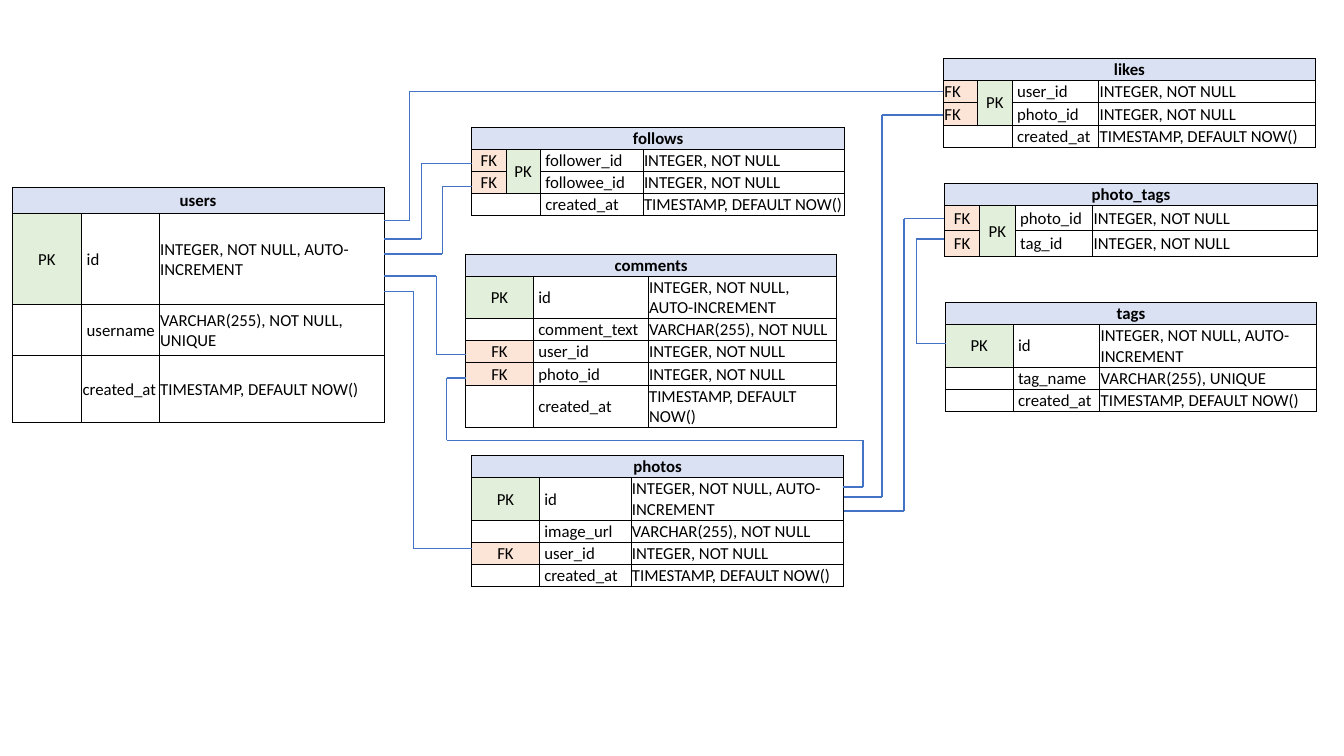
from dataclasses import dataclass
from itertools import pairwise

from lxml.etree import SubElement
from pptx import Presentation
from pptx.dml.color import RGBColor
from pptx.enum.shapes import MSO_CONNECTOR
from pptx.enum.text import MSO_ANCHOR, PP_ALIGN
from pptx.oxml.ns import qn
from pptx.util import Inches, Pt

# Every length is a number of grid steps, ten steps to the inch.
STEP = Inches(0.1)
SLIDE_COLUMNS, SLIDE_ROWS = 133.33, 75
ROW, TALL_ROW = 2.2, 4.2
EDGE, NAME_INDENT = 0.1, 0.5
FONT, TEXT_SIZE = "Calibri", 12
BLACK, HEADER, WIRE = "000000", "D9E1F2", "4472C4"
KEY_FILLS = {"PK": "E2EFDA", "FK": "FCE4D6"}

INTEGER = "INTEGER, NOT NULL"
SERIAL = "INTEGER, NOT NULL, AUTO-INCREMENT"
TIMESTAMP = "TIMESTAMP, DEFAULT NOW()"


@dataclass(frozen=True)
class Field:
    """One column of a database table, shown as one row."""
    name: str
    kind: str
    key: str = ""
    height: float = ROW
    indent: float = NAME_INDENT


@dataclass(frozen=True)
class Entity:
    """A database table; four widths mean a composite primary key."""
    name: str
    left: float
    top: float
    widths: tuple[float, ...]
    fields: tuple[Field, ...]
    header_height: float = ROW
    foreign_align: PP_ALIGN = PP_ALIGN.CENTER


ENTITIES = (
    Entity("users", 1.2, 18.6, (6.9, 7.7, 22.3), (
        Field("id", SERIAL, "PK", 9),
        Field("username", "VARCHAR(255), NOT NULL, UNIQUE", height=5.1),
        Field("created_at", TIMESTAMP, height=6.6, indent=EDGE),
    ), header_height=2.6),
    Entity("photos", 46.8, 45.2, (6.7, 9.1, 21.1), (
        Field("id", "INTEGER, NOT NULL, AUTO- INCREMENT", "PK", TALL_ROW),
        Field("image_url", "VARCHAR(255), NOT NULL"),
        Field("user_id", INTEGER, "FK"),
        Field("created_at", TIMESTAMP),
    )),
    Entity("comments", 46.2, 25.2, (6.7, 11.4, 18.7), (
        Field("id", SERIAL, "PK", TALL_ROW),
        Field("comment_text", "VARCHAR(255), NOT NULL"),
        Field("user_id", INTEGER, "FK"),
        Field("photo_id", INTEGER, "FK"),
        Field("created_at", TIMESTAMP, height=TALL_ROW),
    )),
    Entity("likes", 93.6, 5.8, (3.4, 3.4, 8.6, 21.5), (
        Field("user_id", INTEGER, "FK"),
        Field("photo_id", INTEGER, "FK"),
        Field("created_at", TIMESTAMP),
    ), foreign_align=PP_ALIGN.LEFT),
    Entity("follows", 46.8, 12.6, (3.4, 3.4, 10.2, 20), (
        Field("follower_id", INTEGER, "FK"),
        Field("followee_id", INTEGER, "FK"),
        Field("created_at", TIMESTAMP),
    )),
    Entity("tags", 93.8, 30, (6.7, 8.6, 21.5), (
        Field("id", SERIAL, "PK", TALL_ROW),
        Field("tag_name", "VARCHAR(255), UNIQUE"),
        Field("created_at", TIMESTAMP),
    )),
    Entity("photo_tags", 93.7, 18.2, (3.5, 3.5, 7.7, 22.3), (
        Field("photo_id", INTEGER, "FK", 2.5),
        Field("tag_id", INTEGER, "FK", 2.5),
    )),
)

# Corner points of each relation, from the primary key to the foreign key.
RELATIONS = (
    ((38.1, 28.9), (41, 28.9), (41, 54.4), (46.8, 54.4)),      # users - photos
    ((38.1, 23.7), (41.8, 23.7), (41.8, 16.2), (46.8, 16.2)),  # users - follower
    ((38.1, 25.2), (43.9, 25.2), (43.9, 18.5), (46.8, 18.5)),  # users - followee
    ((38.1, 27.4), (43.3, 27.4), (43.3, 35.2), (46.2, 35.2)),  # users - comments
    ((38.1, 21.9), (40.6, 21.9), (40.6, 9.1), (93.6, 9.1)),    # users - likes
    ((83.7, 49.3), (87.5, 49.3), (87.5, 11.4), (93.6, 11.4)),  # photos - likes
    ((83.7, 50.7), (89.7, 50.7), (89.7, 21.7), (93.7, 21.7)),  # photos - photo_tags
    ((83.6, 48.3), (85.6, 48.3), (85.6, 43.7), (44.3, 43.7),
     (44.3, 37.5), (46.2, 37.5)),                              # photos - comments
    ((93.8, 34.1), (90.9, 34.1), (90.9, 23.7), (93.7, 23.7)),  # tags - photo_tags
)


def steps(count: float) -> int:
    """Turn grid steps into a slide length."""
    return round(count * STEP)


def color(value: str) -> RGBColor:
    """Turn a hex string into a colour."""
    return RGBColor.from_string(value)


def prepare_cell(cell) -> None:
    """Give a cell thin black borders, tight margins and no fill."""
    properties = cell._tc.get_or_add_tcPr()
    for side in ("lnL", "lnR", "lnT", "lnB"):
        border = SubElement(properties, qn(f"a:{side}"), w=str(Pt(0.5)))
        SubElement(SubElement(border, qn("a:solidFill")), qn("a:srgbClr"), val=BLACK)
    cell.fill.background()
    cell.margin_left = cell.margin_right = cell.margin_top = steps(EDGE)
    cell.margin_bottom = 0
    cell.vertical_anchor = MSO_ANCHOR.MIDDLE
    # Empty cells need the text size too, or they stretch their row.
    SubElement(cell.text_frame.paragraphs[0]._p, qn("a:endParaRPr"),
               sz=str(TEXT_SIZE * 100))


def write(cell, text: str, align: PP_ALIGN = PP_ALIGN.LEFT, fill: str = "",
          bold: bool = False, indent: float = EDGE) -> None:
    """Put formatted text into a cell."""
    paragraph = cell.text_frame.paragraphs[0]
    paragraph.text = text
    paragraph.alignment = align
    cell.margin_left = steps(indent)
    for run in paragraph.runs:
        run.font.name, run.font.size = FONT, Pt(TEXT_SIZE)
        run.font.bold = bold
        run.font.color.rgb = color(BLACK)
    if fill:
        cell.fill.solid()
        cell.fill.fore_color.rgb = color(fill)


def draw_entity(slide, entity: Entity) -> None:
    """Draw a database table with its header, keys and fields."""
    heights = (entity.header_height, *(field.height for field in entity.fields))
    grid = slide.shapes.add_table(
        len(heights), len(entity.widths), steps(entity.left), steps(entity.top),
        steps(sum(entity.widths)), steps(sum(heights))).table
    grid.first_row = grid.horz_banding = False
    for column, width in zip(grid.columns, entity.widths):
        column.width = steps(width)
    for row, height in zip(grid.rows, heights):
        row.height = steps(height)
    for cell in grid.iter_cells():
        prepare_cell(cell)

    last = len(entity.widths) - 1
    grid.cell(0, 0).merge(grid.cell(0, last))
    write(grid.cell(0, 0), entity.name, PP_ALIGN.CENTER, HEADER, bold=True)
    composite = last == 3
    if composite:
        grid.cell(1, 1).merge(grid.cell(2, 1))
        write(grid.cell(1, 1), "PK", PP_ALIGN.CENTER, KEY_FILLS["PK"])
    for index, field in enumerate(entity.fields, start=1):
        if field.key:
            align = entity.foreign_align if field.key == "FK" else PP_ALIGN.CENTER
            write(grid.cell(index, 0), field.key, align, KEY_FILLS[field.key])
        elif composite:
            grid.cell(index, 0).merge(grid.cell(index, 1))
        write(grid.cell(index, last - 1), field.name, indent=field.indent)
        write(grid.cell(index, last), field.kind)


def draw_relation(slide, corners: tuple[tuple[float, float], ...]) -> None:
    """Draw a relation as straight lines from corner to corner."""
    for start, end in pairwise(corners):
        wire = slide.shapes.add_connector(
            MSO_CONNECTOR.STRAIGHT, *map(steps, (*start, *end)))
        wire.line.color.rgb = color(WIRE)
        wire.line.width = Pt(1)
        SubElement(wire._element.spPr, qn("a:effectLst"))


def main() -> None:
    """Build and save the schema slide."""
    deck = Presentation()
    deck.slide_width, deck.slide_height = steps(SLIDE_COLUMNS), steps(SLIDE_ROWS)
    slide = deck.slides.add_slide(deck.slide_layouts[6])
    for entity in ENTITIES:
        draw_entity(slide, entity)
    for corners in RELATIONS:
        draw_relation(slide, corners)
    deck.save("out.pptx")


main()
